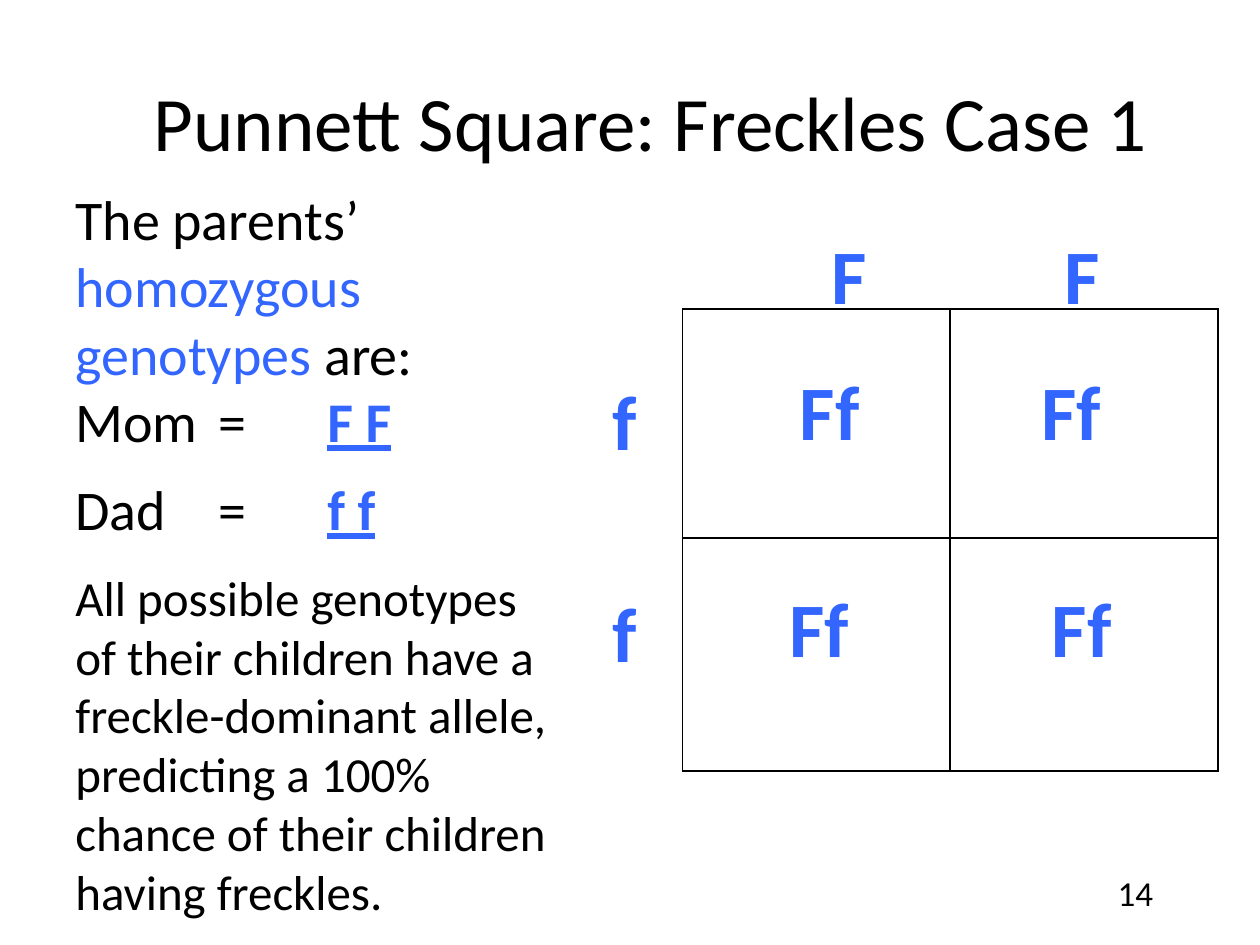
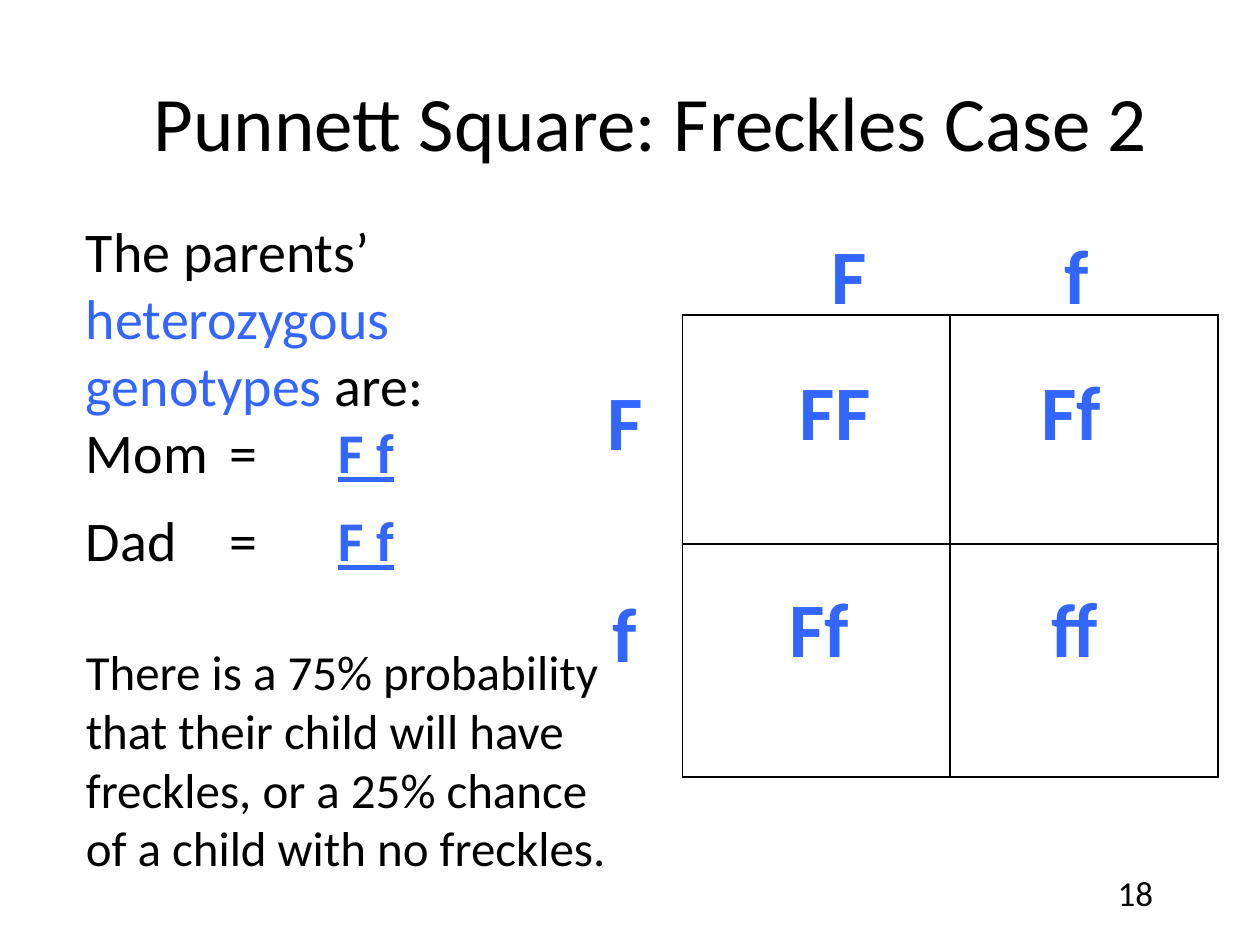
import pptx
import pptx.dml.color
import pptx.enum.text
import pptx.oxml
import pptx.oxml.ns
import pptx.util
from lxml import etree

Pt = pptx.util.Pt
ALIGN = pptx.enum.text.PP_ALIGN
ANCHOR = pptx.enum.text.MSO_ANCHOR

CASES = [
    {
        "title": "Punnett Square: Freckles Case 1",
        "zygosity": "homozygous genotypes",
        "mom": "F F",
        "dad": "f f",
        "result": "All possible genotypes of their children have a freckle-dominant "
                  "allele, predicting a 100% chance of their children having freckles.",
        "top_alleles": ("F", "F"),
        "side_alleles": ("f", "f"),
        "children": (("Ff", "Ff"), ("Ff", "Ff")),
        "page": "14",
        "body_box": (36, 102, 294, 431),
        "result_gap": 14.6,
        "grid_top": 176.5,
    },
    {
        "title": "Punnett Square: Freckles Case 2",
        "zygosity": "heterozygous genotypes",
        "mom": "F f",
        "dad": "F f",
        "result": "There is a 75% probability that their child will have freckles, "
                  "or a 25% chance of a child with no freckles.",
        "top_alleles": ("F", "f"),
        "side_alleles": ("F", "f"),
        "children": (("FF", "Ff"), ("Ff", "ff")),
        "page": "18",
        "body_box": (42, 120, 318, 388),
        "result_gap": 39,
        "grid_top": 180,
    },
]

COLORS = {"text": "000000", "allele": "3366FF", "line": "000000"}
FONT = "Calibri"
TITLE_BOX = (66, 24, 612, 90)
PAGE_BOX = (516, 492, 150, 36)
TOP_BOX = (408, 108, 270, 80)
SIDE_BOX = (324, 210, 66, 192)
CHILD_SPOTS = (((420, 186), (558, 186)), ((414, 310), (564, 310)))
CHILD_SIZE = (96, 80)
GRID_LEFT, COL_WIDTH, ROW_HEIGHTS = 390, 153, (131, 133)
PARENT_TABS = (82, 144)
ALLELE_SIZE = 44
ALLELE_TOP = 22


def place(sp, box):
    sp.left, sp.top, sp.width, sp.height = map(Pt, box)


def add_run(p, text, size, color="text", bold=False, underline=False):
    r = p.add_run()
    r.text = text
    r.font.name = FONT
    r.font.size = Pt(size)
    r.font.bold = bold
    r.font.underline = underline
    r.font.color.rgb = pptx.dml.color.RGBColor.from_string(COLORS[color])


def set_tabs(p, stops):
    tabs = etree.SubElement(p._p.get_or_add_pPr(), pptx.oxml.ns.qn("a:tabLst"))
    for stop in stops:
        etree.SubElement(tabs, pptx.oxml.ns.qn("a:tab"), pos=str(Pt(stop)), algn="l")


def add_box(s, box):
    tf = s.shapes.add_textbox(*map(Pt, box)).text_frame
    tf.word_wrap = True
    return tf


def add_title(s, text):
    sp = s.shapes.title
    place(sp, TITLE_BOX)
    tf = sp.text_frame
    tf.vertical_anchor = ANCHOR.MIDDLE
    p = tf.paragraphs[0]
    p.alignment = ALIGN.CENTER
    add_run(p, text, 44)


def add_body(s, case):
    tf = add_box(s, case["body_box"])
    p = tf.paragraphs[0]
    add_run(p, "The parents’ ", 32)
    add_run(p, case["zygosity"], 32, "allele")
    add_run(p, " are:", 32)
    for parent, gap in (("Mom", 12), ("Dad", case["result_gap"])):
        p = tf.add_paragraph()
        p.space_after = Pt(gap)
        set_tabs(p, PARENT_TABS)
        add_run(p, parent + "\t=\t", 32)
        add_run(p, case[parent.lower()], 32, "allele", True, True)
    add_run(tf.add_paragraph(), case["result"], 28)


def add_alleles(s, box, text, indent, tabs=()):
    tf = add_box(s, box)
    tf.margin_left, tf.margin_top = Pt(indent), Pt(ALLELE_TOP)
    tf.margin_right = tf.margin_bottom = 0
    p = tf.paragraphs[0]
    if tabs:
        set_tabs(p, tabs)
    add_run(p, text, ALLELE_SIZE, "allele", True)


def add_side_alleles(s, alleles):
    tf = add_box(s, SIDE_BOX)
    upper, lower = tf.paragraphs[0], tf.add_paragraph()
    lower.space_before = Pt(68.5)
    for p, allele in zip((upper, lower), alleles):
        p.alignment = ALIGN.CENTER
        add_run(p, allele, ALLELE_SIZE, "allele", True)


def add_grid(s, top):
    table = s.shapes.add_table(2, 2, Pt(GRID_LEFT), Pt(top), Pt(2 * COL_WIDTH),
                               Pt(sum(ROW_HEIGHTS))).table
    table.first_row = table.horz_banding = False
    for col in table.columns:
        col.width = Pt(COL_WIDTH)
    for row, height in zip(table.rows, ROW_HEIGHTS):
        row.height = Pt(height)
    for cell in table.iter_cells():
        tcPr = cell._tc.get_or_add_tcPr()
        for side in ("lnL", "lnR", "lnT", "lnB"):
            ln = etree.SubElement(tcPr, pptx.oxml.ns.qn("a:" + side), w=str(Pt(1)))
            fill = etree.SubElement(ln, pptx.oxml.ns.qn("a:solidFill"))
            etree.SubElement(fill, pptx.oxml.ns.qn("a:srgbClr"), val=COLORS["line"])
        cell.fill.background()


def add_page_number(s, text):
    tf = add_box(s, PAGE_BOX)
    tf.vertical_anchor = ANCHOR.MIDDLE
    p = tf.paragraphs[0]
    p.alignment = ALIGN.RIGHT
    add_run(p, text, 20)


def add_case(prs, case):
    s = prs.slides.add_slide(prs.slide_layouts[5])
    add_title(s, case["title"])
    add_body(s, case)
    add_alleles(s, TOP_BOX, "\t".join(case["top_alleles"]), 67, (133.5,))
    add_side_alleles(s, case["side_alleles"])
    for spots, genotypes in zip(CHILD_SPOTS, case["children"]):
        for spot, genotype in zip(spots, genotypes):
            add_alleles(s, spot + CHILD_SIZE, genotype, 37)
    add_page_number(s, case["page"])
    add_grid(s, case["grid_top"])


def main():
    prs = pptx.Presentation()
    prs.slide_width, prs.slide_height = Pt(720), Pt(540)
    for case in CASES:
        add_case(prs, case)
    prs.save("out.pptx")


if __name__ == "__main__":
    main()
